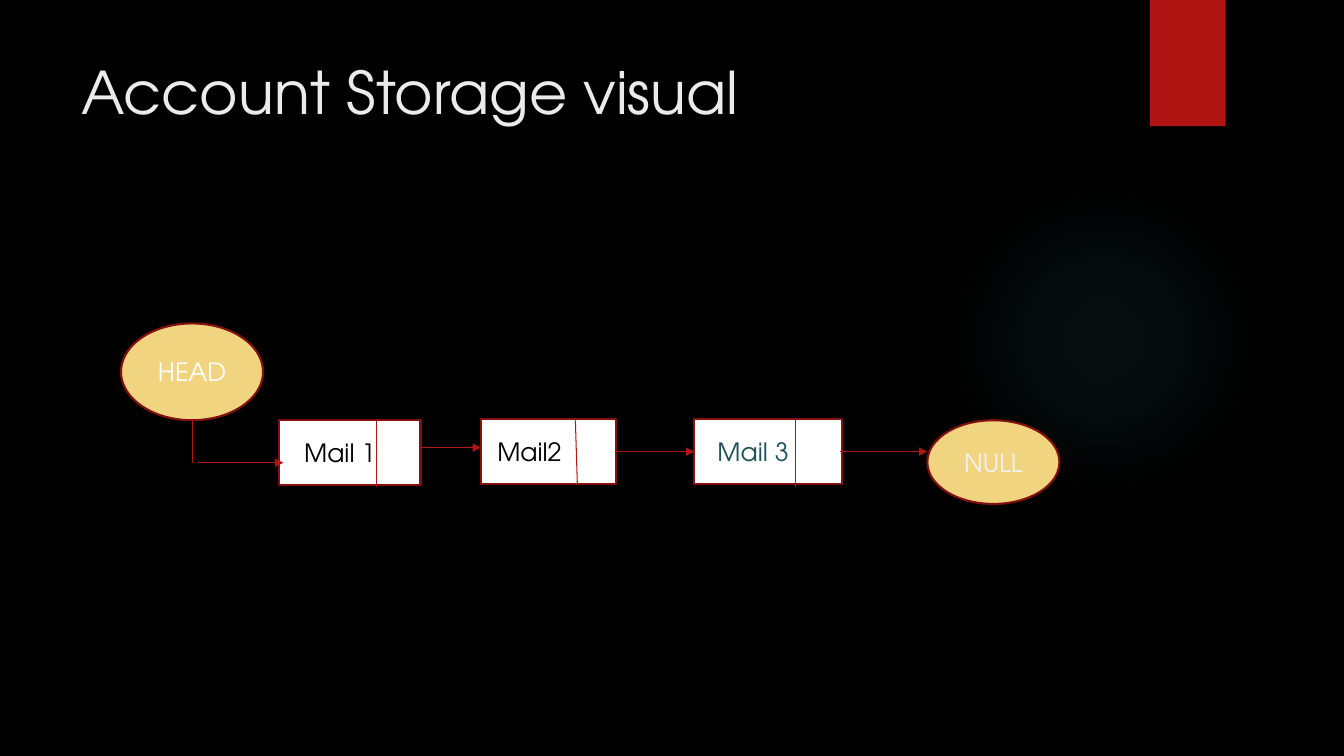
import lxml.etree
import pptx
import pptx.dml.color
import pptx.enum.shapes
import pptx.enum.text
import pptx.oxml
import pptx.oxml.ns
import pptx.util

Cm = pptx.util.Cm
Pt = pptx.util.Pt
RGBColor = pptx.dml.color.RGBColor
MSO_SHAPE = pptx.enum.shapes.MSO_SHAPE
qn = pptx.oxml.ns.qn

BLACK = RGBColor(0x00, 0x00, 0x00)
WHITE = RGBColor(0xFF, 0xFF, 0xFF)
TITLE_GREY = RGBColor(0xEB, 0xEB, 0xEB)
PALE_GREY = RGBColor(0xF2, 0xF2, 0xF2)
TEAL = RGBColor(0x1E, 0x51, 0x55)
GLOW_CYAN = RGBColor(0x50, 0xB9, 0xC1)
RED = RGBColor(0xB0, 0x15, 0x13)
DARK_RED = RGBColor(0x82, 0x10, 0x0E)
GOLD = RGBColor(0xF0, 0xD4, 0x7F)
FONT = "TeX Gyre Adventor"
NODE_HEIGHT = 1.63

# label, left, top, width, right inset, label colour
MAIL_NODES = [
    ("Mail 1", 7.04, 10.59, 3.56, 0.76, BLACK),
    ("Mail2", 12.12, 10.57, 3.4, 1.2, BLACK),
    ("Mail 3", 17.5, 10.57, 3.71, 1.0, TEAL),
]
# label, left, top, width, height, label colour
END_NODES = [
    ("NULL", 23.37, 10.59, 3.33, 2.11, PALE_GREY),
    ("HEAD", 3.05, 8.15, 3.58, 2.44, WHITE),
]
# start x, start y, end x, end y
PLAIN_LINES = [
    (9.5, 10.59, 9.5, 12.27),
    (14.5, 10.59, 14.55, 12.22),
    (20.04, 10.57, 20.04, 12.27),
    (4.85, 10.59, 4.85, 11.66),
]
ARROWS = [
    (10.59, 11.28, 12.12, 11.28),
    (15.52, 11.38, 17.5, 11.38),
    (21.18, 11.38, 23.37, 11.38),
    (4.98, 11.66, 7.14, 11.66),
]


def format_label(frame, label, size, colour, align):
    frame.text = label
    frame.word_wrap = True
    paragraph = frame.paragraphs[0]
    paragraph.alignment = align
    font = paragraph.runs[0].font
    font.name = FONT
    font.size = Pt(size)
    font.color.rgb = colour


def add_block(slide, preset, box, fill):
    """Add a flat shape without outline; box is left, top, width, height in cm."""
    block = slide.shapes.add_shape(preset, *map(Cm, box))
    block.shadow.inherit = False
    block.fill.solid()
    block.fill.fore_color.rgb = fill
    block.line.fill.background()
    return block


def add_node(slide, preset, box, fill, label, colour, right_inset=0.25):
    node = add_block(slide, preset, box, fill)
    node.line.color.rgb = DARK_RED
    node.line.width = Pt(1.5)
    frame = node.text_frame
    format_label(frame, label, 18, colour, pptx.enum.text.PP_ALIGN.CENTER)
    frame.vertical_anchor = pptx.enum.text.MSO_ANCHOR.MIDDLE
    frame.margin_right = Cm(right_inset)


def add_link(slide, ends, arrow=False):
    link = slide.shapes.add_connector(
        pptx.enum.shapes.MSO_CONNECTOR.STRAIGHT, *map(Cm, ends))
    link.line.color.rgb = RED
    link.line.width = Pt(0.75)
    if arrow:
        lxml.etree.SubElement(
            link.line._get_or_add_ln(), qn("a:tailEnd"), type="triangle")
    lxml.etree.SubElement(link._element.spPr, qn("a:effectLst"))


def add_glow(slide):
    """Add the faint disc that fades out radially."""
    glow = add_block(slide, MSO_SHAPE.OVAL, (23.9, 4.65, 7.82, 7.82), GLOW_CYAN)
    stops = "".join(
        f'<a:gs pos="{position * 1000}"><a:srgbClr val="{GLOW_CYAN}">'
        f'<a:alpha val="{alpha * 1000}"/></a:srgbClr></a:gs>'
        for position, alpha in [(0, 7), (36, 6), (69, 0), (100, 0)])
    gradient = pptx.oxml.parse_xml(
        f'<a:gradFill {pptx.oxml.ns.nsdecls("a")}><a:gsLst>{stops}</a:gsLst>'
        '<a:path path="circle"><a:fillToRect l="50000" t="50000" r="50000"'
        ' b="50000"/></a:path></a:gradFill>')
    properties = glow._element.spPr
    properties.replace(properties.find(qn("a:solidFill")), gradient)


def set_title(slide, text):
    title = slide.shapes.title
    title.left, title.top, title.width, title.height = map(
        Cm, (1.8, 1.27, 26.14, 3.89))
    format_label(title.text_frame, text, 42, TITLE_GREY,
                 pptx.enum.text.PP_ALIGN.LEFT)
    title.text_frame.vertical_anchor = pptx.enum.text.MSO_ANCHOR.TOP


def main():
    deck = pptx.Presentation()
    deck.slide_width, deck.slide_height = Cm(33.87), Cm(19.05)
    slide = deck.slides.add_slide(deck.slide_layouts[5])
    slide.background.fill.solid()
    slide.background.fill.fore_color.rgb = BLACK

    add_glow(slide)
    add_block(slide, MSO_SHAPE.RECTANGLE, (28.98, 0, 1.91, 3.18), RED)
    set_title(slide, "Account Storage visual")

    for label, left, top, width, right_inset, colour in MAIL_NODES:
        add_node(slide, MSO_SHAPE.RECTANGLE, (left, top, width, NODE_HEIGHT),
                 WHITE, label, colour, right_inset)
    for label, *box, colour in END_NODES:
        add_node(slide, MSO_SHAPE.OVAL, box, GOLD, label, colour)
    for ends in PLAIN_LINES:
        add_link(slide, ends)
    for ends in ARROWS:
        add_link(slide, ends, arrow=True)

    deck.save("out.pptx")


if __name__ == "__main__":
    main()
